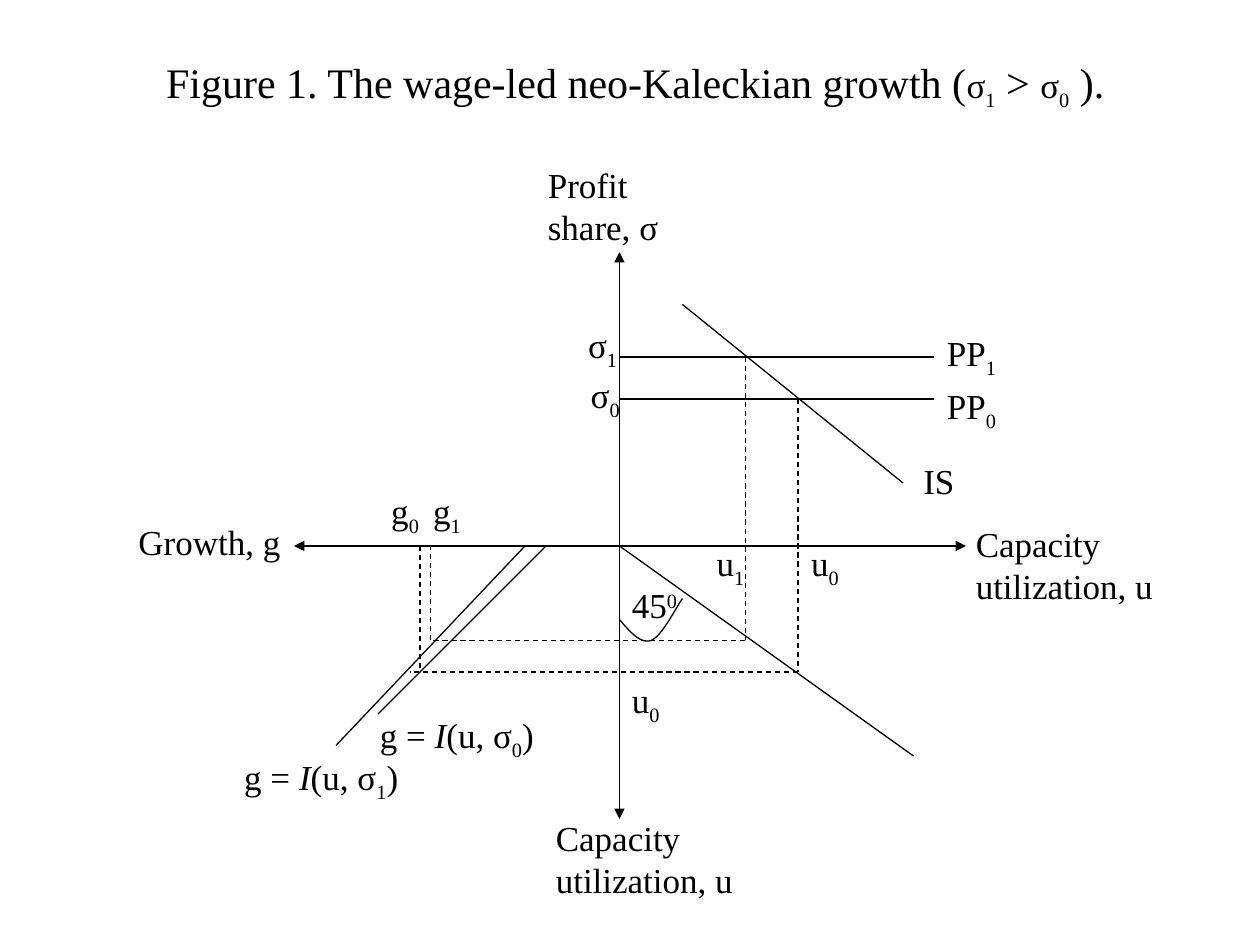
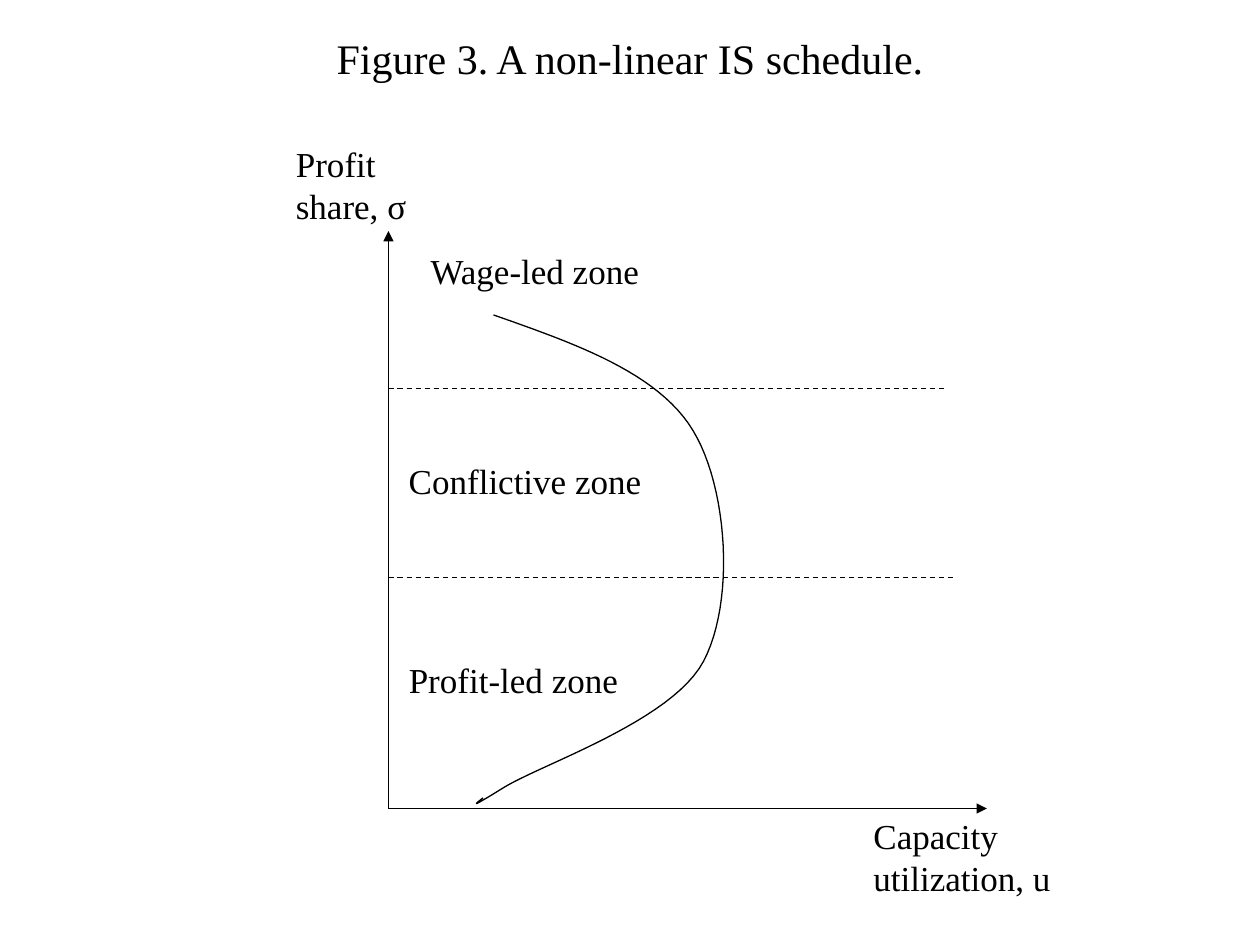
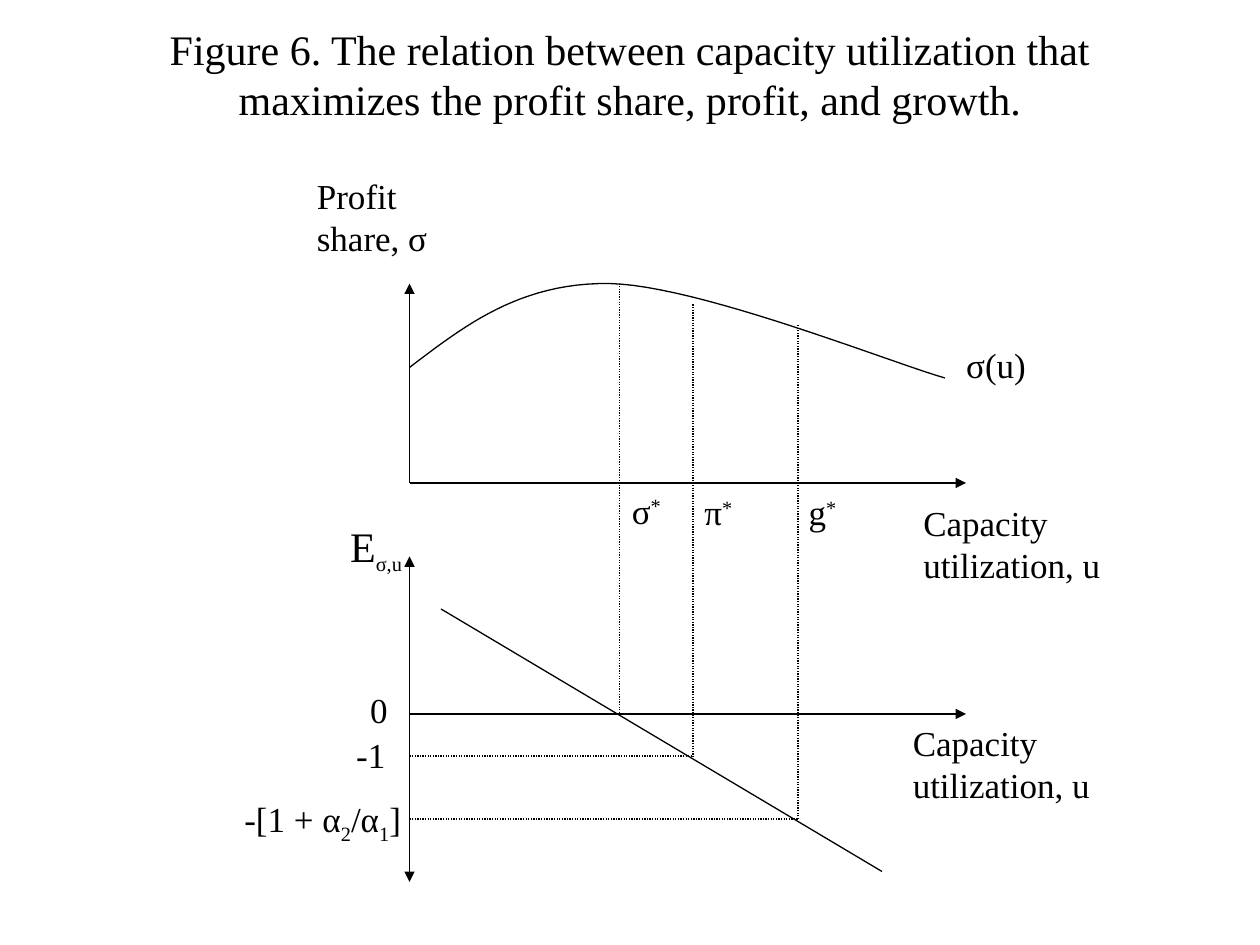
from pptx import Presentation
from pptx.dml.color import RGBColor
from pptx.enum.dml import MSO_LINE as Dash
from pptx.enum.shapes import MSO_CONNECTOR as Link
from pptx.enum.text import MSO_ANCHOR as Anchor, MSO_AUTO_SIZE as Fit, PP_ALIGN as Align
from pptx.oxml.ns import qn
from pptx.util import Pt
from lxml.etree import SubElement

FONT = "Times New Roman"
BLACK = RGBColor.from_string("000000")
BASES = {"_": "-25000", "^": "30000"}
DASHES = {"dash": Dash.DASH, "dot": Dash.ROUND_DOT}
SHARE = "Profit\nshare, σ"
USE = "Capacity\nutilization, u"
STEPS = 24


def write(frame, text, size):
    for row, line in enumerate(text.split("\n")):
        par = frame.add_paragraph() if row else frame.paragraphs[0]
        for part in line.split("|"):
            mark = part[0]
            run = par.add_run()
            run.text = part[1:] if mark in "_^~" else part
            font = run.font
            font.name = FONT
            font.size = Pt(20 if mark in "_^σ" else size)
            font.color.rgb = BLACK
            if mark == "~":
                font.italic = True
            if mark in BASES:
                run._r.get_or_add_rPr().set("baseline", BASES[mark])


def ink(line):
    line.color.rgb = BLACK
    line.width = Pt(0.75)


wage = {
    "title": "Figure 1. The wage-led neo-Kaleckian growth (|σ|_1| > |σ|_0| ).",
    "box": (30, 30, 666, 36),
    "lines": [
        (354, 144, 354, 468, "head tail"),
        (168, 312, 552, 312, "head tail"),
        (390, 174, 516, 276, ""),
        (354, 204, 534, 204, ""),
        (354, 228, 534, 228, ""),
        (354, 312, 522, 432, ""),
        (312, 312, 216, 408, ""),
        (300, 312, 192, 426, ""),
        (456, 228, 456, 384, "dash"),
        (456, 384, 234, 384, "dash"),
        (240, 312, 240, 384, "dash"),
        (426, 204, 426, 366, "dash"),
        (426, 366, 246, 366, "dash"),
        (246, 366, 246, 312, "dash"),
    ],
    "curve": [
        (354, 354), (360, 361), (366, 368), (372, 366),
        (378, 364), (386.5, 347), (390, 342),
    ],
    "labels": [
        (72, 294, 96, 32, "Growth, g"),
        (550.5, 295, 115, 55.5, USE),
        (310.5, 463, 115, 55.5, USE),
        (306, 90, 77, 55.5, SHARE),
        (354, 330, 40, 32, "45|^0"),
        (520.5, 259, 32.5, 32, "IS"),
        (210, 402, 102, 32, "g = |~I|(u, σ|_0|)"),
        (132.5, 426, 102, 32, "g = |~I|(u, σ|_1|)"),
        (456.5, 306, 30, 34.5, "u|_0"),
        (402.5, 306, 30, 34.5, "u|_1"),
        (354, 384, 30, 34.5, "u|_0"),
        (216.5, 276, 30, 34.5, "g|_0"),
        (240.5, 276, 30, 34.5, "g|_1"),
        (330.5, 210, 31, 34.5, "σ|_0"),
        (329, 181.5, 31, 34.5, "σ|_1"),
        (534, 216, 42.5, 34.5, "PP|_0"),
        (534, 186, 42.5, 34.5, "PP|_1"),
    ],
}

bend = {
    "title": "Figure 3. A non-linear IS schedule.",
    "box": (54, 24, 612, 18),
    "lines": [
        (222, 132, 222, 462, "head"),
        (222, 462, 564, 462, "tail"),
        (222, 330, 546, 330, "dash"),
        (222, 222, 540, 222, "dash"),
    ],
    "curve": [
        (282, 180), (329, 196.5), (376, 213), (396, 246),
        (416, 279), (420, 344), (402, 378),
        (384, 412), (309, 437), (288, 450),
        (267, 463), (271.5, 459.5), (276, 456),
    ],
    "labels": [
        (226.5, 373, 134, 32, "Profit-led zone"),
        (226.5, 259, 147, 32, "Conflictive zone"),
        (239, 139, 134.5, 32, "Wage-led zone"),
        (162, 78, 77, 55.5, SHARE),
        (492, 462, 115, 55.5, USE),
    ],
}

peak = {
    "title": "Figure 6. The relation between capacity utilization that "
             "maximizes the profit share, profit, and growth.",
    "box": (54, 24, 612, 36),
    "lines": [
        (234, 162, 234, 276, "head"),
        (234, 276, 552, 276, "tail"),
        (234, 318, 234, 504, "head tail"),
        (234, 408, 552, 408, "tail"),
        (252, 348, 504, 498, ""),
        (354, 162, 354, 408, "dot"),
        (396, 174, 396, 432, "dot"),
        (234, 432, 396, 432, "dot"),
        (234, 468, 456, 468, "dot"),
        (456, 468, 456, 186, "dot"),
    ],
    "curve": [
        (234, 210), (265.5, 186), (297, 161.5), (348, 162),
        (399, 163), (508.5, 207), (540, 216),
    ],
    "labels": [
        (174, 96, 77, 55.5, SHARE),
        (520.5, 283, 115, 55.5, USE),
        (514.5, 409, 115, 55.5, USE),
        (193, 294, 44, 39, "E|_σ,u"),
        (545, 193, 48, 32, "σ(u)"),
        (204.5, 390, 24.5, 32, "0"),
        (196.5, 415.5, 31, 32, "-1"),
        (132.5, 450, 103.5, 32, "-[1 + α|_2|/α|_1|]"),
        (354, 276, 31, 32, "σ|^*"),
        (395.5, 277, 30, 32, "π|^*"),
        (455, 277, 30, 32, "g|^*"),
    ],
}

deck = Presentation()
deck.slide_width, deck.slide_height = Pt(720), Pt(540)

for fig in (wage, bend, peak):
    slide = deck.slides.add_slide(deck.slide_layouts[5])
    shapes = slide.shapes

    title = shapes.title
    title.left, title.top, title.width, title.height = map(Pt, fig["box"])
    frame = title.text_frame
    frame.auto_size = Fit.NONE
    frame.word_wrap = True
    frame.vertical_anchor = Anchor.MIDDLE
    write(frame, fig["title"], 24)
    frame.paragraphs[0].alignment = Align.CENTER

    for *ends, style in fig["lines"]:
        link = shapes.add_connector(Link.STRAIGHT, *map(Pt, ends))
        ink(link.line)
        if style in DASHES:
            link.line.dash_style = DASHES[style]
        props = link.element.spPr
        for end in ("head", "tail"):
            if end in style:
                SubElement(props.find(qn("a:ln")), qn(f"a:{end}End"), type="triangle")
        SubElement(props, qn("a:effectLst"))

    knots = fig["curve"]
    dots = []
    for k in range(0, len(knots) - 1, 3):
        for step in range(1, STEPS + 1):
            t = step / STEPS
            s = 1 - t
            mix = (s ** 3, 3 * s * s * t, 3 * s * t * t, t ** 3)
            dots.append(tuple(
                Pt(sum(m * p[axis] for m, p in zip(mix, knots[k:k + 4])))
                for axis in (0, 1)))
    pen = shapes.build_freeform(*map(Pt, knots[0]))
    pen.add_line_segments(dots, close=False)
    curve = pen.convert_to_shape()
    curve.fill.background()
    curve.shadow.inherit = False
    ink(curve.line)

    for *spot, text in fig["labels"]:
        label = shapes.add_textbox(*map(Pt, spot))
        frame = label.text_frame
        frame.word_wrap = True
        frame.auto_size = Fit.NONE
        frame.margin_right = 0
        write(frame, text, 24 if text[0] == "E" else 20)
        if text.count("|") == 4:
            frame.margin_top = Pt(6.3)
            frame.paragraphs[0].line_spacing = 0.9

deck.save("out.pptx")
